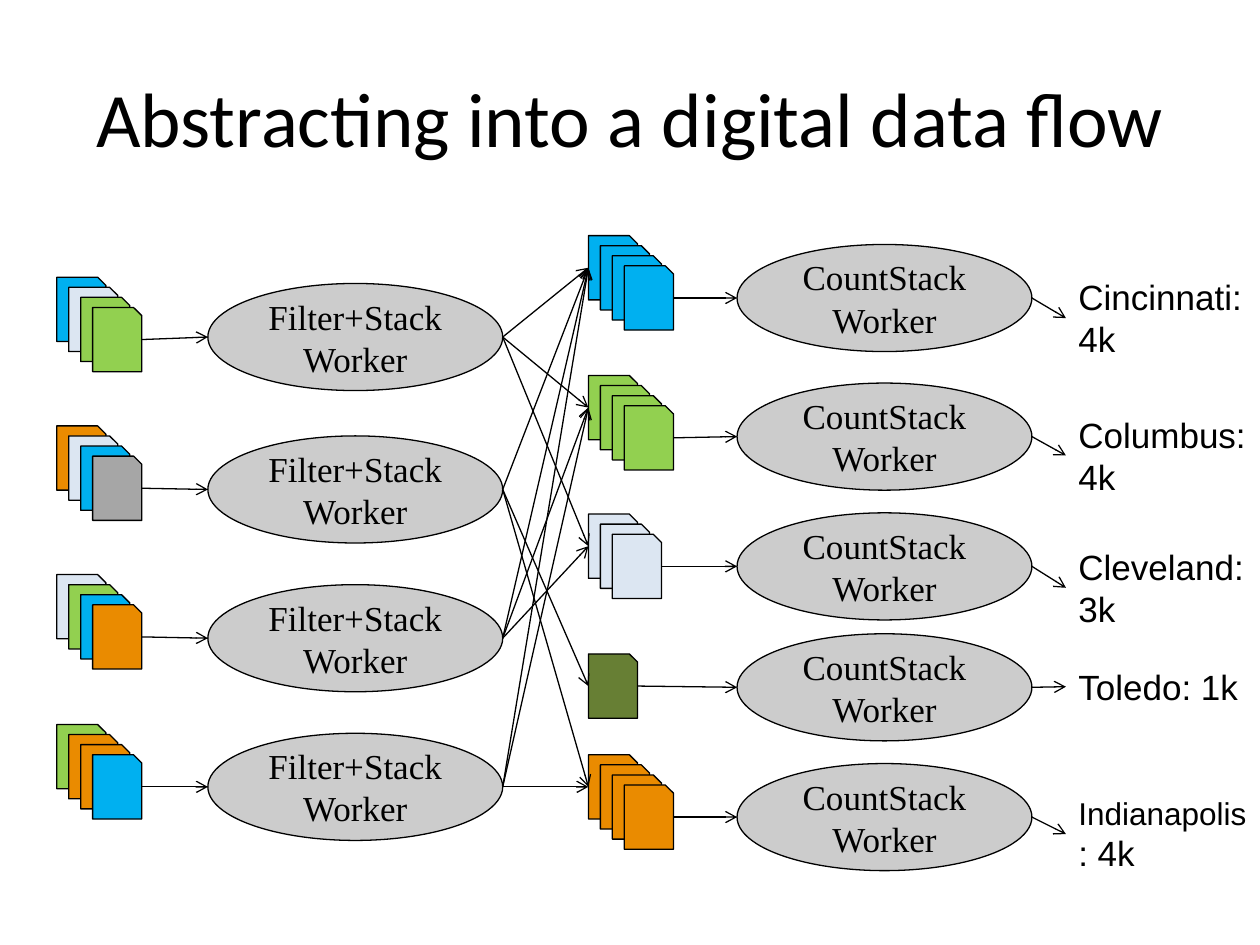
from lxml import etree
from pptx import Presentation
from pptx.dml.color import RGBColor
from pptx.enum.shapes import MSO_CONNECTOR, MSO_SHAPE
from pptx.enum.text import MSO_ANCHOR, PP_ALIGN
from pptx.oxml.ns import qn
from pptx.util import Inches, Pt

CARD = MSO_SHAPE.SNIP_1_RECTANGLE
OVAL = MSO_SHAPE.OVAL
STRAIGHT = MSO_CONNECTOR.STRAIGHT
MIDDLE = MSO_ANCHOR.MIDDLE
TOP = MSO_ANCHOR.TOP
CENTER = PP_ALIGN.CENTER
LEFT = PP_ALIGN.LEFT

BLACK = RGBColor(0x00, 0x00, 0x00)
WORKER_GRAY = RGBColor(0xCC, 0xCC, 0xCC)
BLUE = RGBColor(0x00, 0xB0, 0xF0)
PALE = RGBColor(0xDC, 0xE6, 0xF2)
GREEN = RGBColor(0x92, 0xD0, 0x50)
ORANGE = RGBColor(0xEA, 0x8B, 0x00)
GRAY = RGBColor(0xA6, 0xA6, 0xA6)
OLIVE = RGBColor(0x67, 0x7F, 0x34)

LINE_WIDTH = Pt(0.75)
CARD_W, CARD_H = Inches(0.39), Inches(0.51)
CARD_DX, CARD_DY = Inches(0.095), Inches(0.08)
WORKER_W, WORKER_H = Inches(2.34), Inches(0.85)

# Top of the card stack, its card colours, top of the worker
INPUTS = [
    (2.2, [BLUE, PALE, GREEN, GREEN], 2.25),
    (3.38, [ORANGE, PALE, BLUE, GRAY], 3.46),
    (4.56, [PALE, GREEN, BLUE, ORANGE], 4.64),
    (5.75, [GREEN, ORANGE, ORANGE, BLUE], 5.82),
]
# Top of the card stack, its card colours, top of the worker
SORTED = [
    (1.87, [BLUE] * 4, 1.94),
    (2.98, [GREEN] * 4, 3.04),
    (4.08, [PALE] * 3, 4.07),
    (5.19, [OLIVE], 5.03),
    (5.99, [ORANGE] * 4, 6.06),
]
# Sorted stacks fed by each filter worker
SHUFFLE = [(0, 1, 2), (3, 0, 4), (2, 1, 0), (4, 0, 1)]
# Top and height of the result, city, city text size, count
RESULTS = [
    (2.14, 0.77, "Cincinnati", 20, ": 4k"),
    (3.23, 0.77, "Columbus", 20, ": 4k"),
    (4.28, 0.77, "Cleveland", 20, ": 3k"),
    (5.23, 0.44, "Toledo", 20, ": 1k"),
    (6.25, 0.74, "Indianapolis", 18, ": 4k"),
]


def write_text(frame, paragraphs, font, align=LEFT, anchor=TOP):
    """Fill a frame; each paragraph is a list of (text, size) runs."""
    frame.word_wrap = True
    frame.vertical_anchor = anchor
    for index, runs in enumerate(paragraphs):
        paragraph = frame.paragraphs[0] if index == 0 else frame.add_paragraph()
        paragraph.alignment = align
        for text, size in runs:
            run = paragraph.add_run()
            run.text = text
            run.font.name = font
            run.font.size = Pt(size)
            run.font.color.rgb = BLACK


def add_outlined(slide, kind, left, top, width, height, fill):
    shape = slide.shapes.add_shape(kind, left, top, width, height)
    shape.shadow.inherit = False
    shape.fill.solid()
    shape.fill.fore_color.rgb = fill
    shape.line.color.rgb = BLACK
    shape.line.width = LINE_WIDTH
    return shape


def add_arrow(slide, start, end):
    arrow = slide.shapes.add_connector(STRAIGHT, *start, *end)
    arrow.line.color.rgb = BLACK
    arrow.line.width = LINE_WIDTH
    line = arrow.line._get_or_add_ln()
    etree.SubElement(line, qn("a:tailEnd"), type="arrow")
    etree.SubElement(arrow._element.spPr, qn("a:effectLst"))


def add_title(slide, left, top, width, height):
    title = slide.shapes.add_textbox(left, top, width, height)
    write_text(title.text_frame, [[("Abstracting into a digital data flow", 44)]],
               font="Calibri", align=CENTER, anchor=MIDDLE)


def add_stack(slide, left, top, colors):
    """Return the entry point of the back card and exit point of the front card."""
    for index, color in enumerate(colors):
        x, y = left + index * CARD_DX, top + index * CARD_DY
        add_outlined(slide, CARD, x, y, CARD_W, CARD_H, color)
    return (left, top + CARD_H // 2), (x + CARD_W, y + CARD_H // 2)


def add_worker(slide, left, top, task):
    """Return the left and right points of the oval."""
    worker = add_outlined(slide, OVAL, left, top, WORKER_W, WORKER_H, WORKER_GRAY)
    write_text(worker.text_frame, [[(task, 20)], [("Worker", 20)]],
               font="Times New Roman", align=CENTER, anchor=MIDDLE)
    middle = top + WORKER_H // 2
    return (left, middle), (left + WORKER_W, middle)


def add_stage(slide, stack_left, worker_left, rows, task, feeds=()):
    """Draw stacks, the arrows feeding them and their workers; return worker exits."""
    stacks = [add_stack(slide, stack_left, Inches(top), colors)
              for top, colors, _ in rows]
    for source, targets in feeds:
        for target in targets:
            add_arrow(slide, source, stacks[target][0])
    exits = []
    for (_, stack_exit), (_, _, worker_top) in zip(stacks, rows):
        entry, worker_exit = add_worker(slide, worker_left, Inches(worker_top), task)
        add_arrow(slide, stack_exit, entry)
        exits.append(worker_exit)
    return exits


def add_results(slide, left, width, sources):
    for source, (top, height, city, size, count) in zip(sources, RESULTS):
        result = slide.shapes.add_textbox(left, Inches(top), width, Inches(height))
        write_text(result.text_frame, [[(city, size), (count, 20)]], font="Arial")
        add_arrow(slide, source, (left, Inches(top + height / 2)))


def main():
    deck = Presentation()
    deck.slide_width, deck.slide_height = Inches(10), Inches(7.5)
    slide = deck.slides.add_slide(deck.slide_layouts[6])

    add_title(slide, Inches(0.5), Inches(0.3), Inches(9), Inches(1.25))
    filtered = add_stage(slide, Inches(0.45), Inches(1.65), INPUTS, "Filter+Stack")
    counted = add_stage(slide, Inches(4.67), Inches(5.85), SORTED, "CountStack",
                        feeds=zip(filtered, SHUFFLE))
    add_results(slide, Inches(8.46), Inches(1.54), counted)

    deck.save("out.pptx")


if __name__ == "__main__":
    main()
